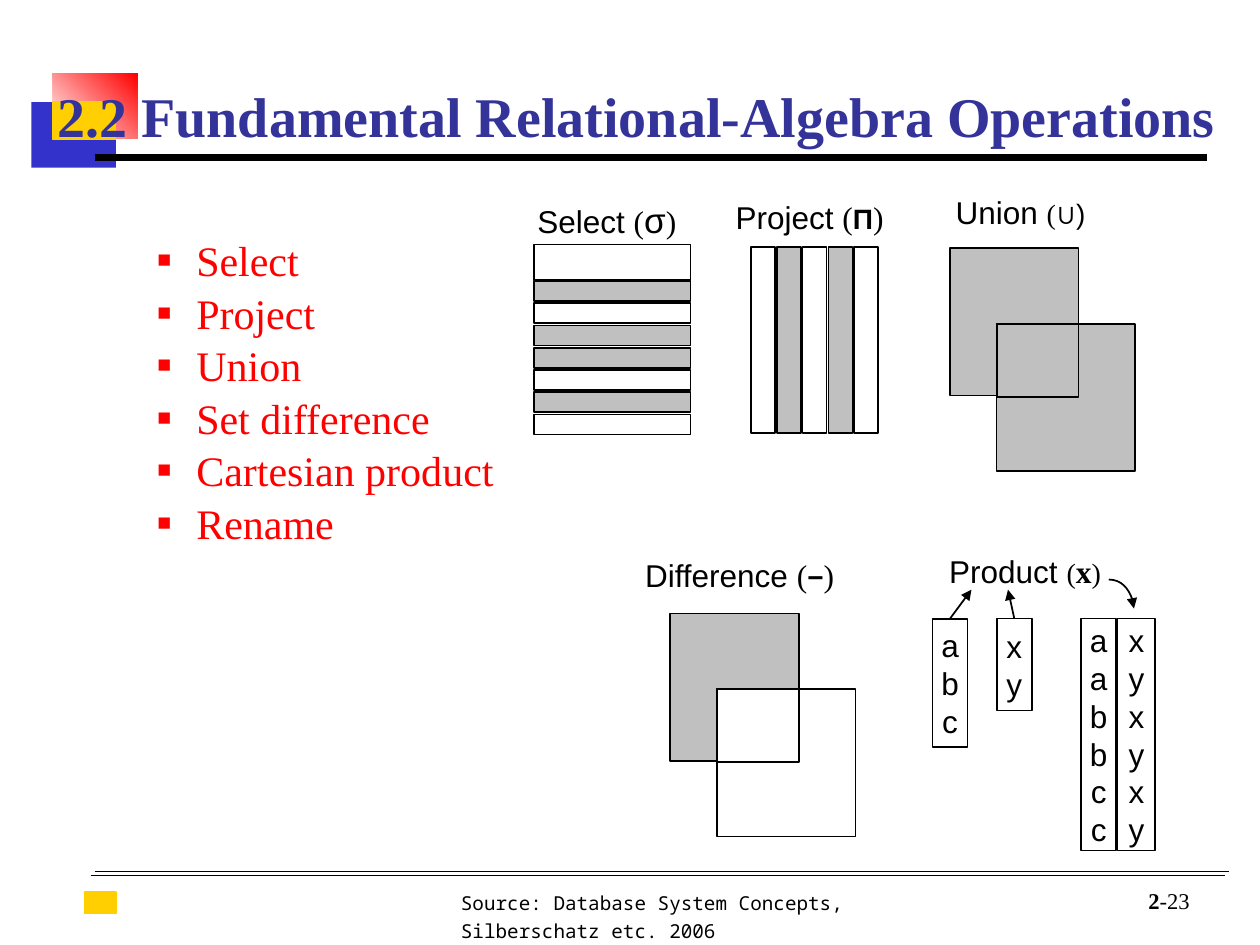
from dataclasses import dataclass

from lxml import etree
from pptx import Presentation
from pptx.dml.color import RGBColor
from pptx.enum.shapes import MSO_CONNECTOR, MSO_SHAPE
from pptx.enum.text import MSO_ANCHOR, PP_ALIGN
from pptx.oxml.ns import qn
from pptx.util import Inches, Pt

RECT = MSO_SHAPE.RECTANGLE
STRAIGHT, CURVE = MSO_CONNECTOR.STRAIGHT, MSO_CONNECTOR.CURVE
LEFT, CENTER, RIGHT = PP_ALIGN.LEFT, PP_ALIGN.CENTER, PP_ALIGN.RIGHT
TOP, MIDDLE, BOTTOM = MSO_ANCHOR.TOP, MSO_ANCHOR.MIDDLE, MSO_ANCHOR.BOTTOM


@dataclass(frozen=True)
class Theme:
    black: str = "000000"
    white: str = "FFFFFF"
    gray: str = "C0C0C0"
    red: str = "FF0000"
    blue: str = "3333CC"
    yellow: str = "FFCF01"
    title_blue: str = "333399"
    serif: str = "Times New Roman"
    sans: str = "Arial"
    mono: str = "Noto Sans Mono"
    title: float = 32
    bullet: float = 24
    label: float = 18
    symbol: float = 16
    page: float = 12.9
    source: float = 11


T = Theme()


def rgb(value):
    return RGBColor.from_string(value)


def add_rect(slide, left, top, width, height, fill, line=None, weight=1):
    rect = slide.shapes.add_shape(
        RECT, Inches(left), Inches(top), Inches(width), Inches(height))
    rect.shadow.inherit = False
    rect.fill.solid()
    rect.fill.fore_color.rgb = rgb(fill)
    if line:
        rect.line.color.rgb = rgb(line)
        rect.line.width = Pt(weight)
    else:
        rect.line.fill.background()
    return rect


def add_line(slide, x1, y1, x2, y2, weight=1, arrow=False, kind=STRAIGHT):
    line = slide.shapes.add_connector(
        kind, Inches(x1), Inches(y1), Inches(x2), Inches(y2))
    line.line.color.rgb = rgb(T.black)
    line.line.width = Pt(weight)
    properties = line.element.spPr
    if arrow:
        etree.SubElement(properties.find(qn("a:ln")), qn("a:tailEnd"), type="triangle")
    etree.SubElement(properties, qn("a:effectLst"))
    return line


def write(shape, paragraphs, align=LEFT, anchor=TOP, wrap=False, color=T.black):
    """Fill a shape with paragraphs, each a list of (text, size, font, bold) runs."""
    frame = shape.text_frame
    frame.word_wrap = wrap
    frame.vertical_anchor = anchor
    frame.text = "\n".join("" for _ in paragraphs)
    for paragraph, runs in zip(frame.paragraphs, paragraphs):
        paragraph.alignment = align
        for text, size, font, bold in runs:
            run = paragraph.add_run()
            run.text = text
            run.font.size = Pt(size)
            run.font.name = font
            run.font.bold = bold
            run.font.color.rgb = rgb(color)
    return frame


def add_text(slide, left, top, width, height, paragraphs, **style):
    box = slide.shapes.add_textbox(
        Inches(left), Inches(top), Inches(width), Inches(height))
    return write(box, paragraphs, **style)


def add_label(slide, left, top, width, height, name, *symbols):
    label = add_rect(slide, left, top, width, height, T.white)
    write(label, [[(name, T.label, T.sans, False), *symbols]], CENTER, MIDDLE)


def add_ornaments(slide):
    add_rect(slide, 0.25, 0.81, 0.67, 0.52, T.blue)
    glow = add_rect(slide, 0.42, 0.58, 0.67, 0.52, T.red)
    glow.fill.gradient()
    glow.fill.gradient_angle = 45
    for stop, position, color in zip(glow.fill.gradient_stops, (0, 1), (T.white, T.red)):
        stop.position = position
        stop.color.rgb = rgb(color)
    add_rect(slide, 0.42, 0.81, 0.5, 0.3, T.yellow, T.yellow, 0.75)
    add_line(slide, 0.75, 1.25, 9.58, 1.25, 4.5)


def add_footer(slide):
    add_rect(slide, 0.67, 7.08, 0.25, 0.17, T.yellow, T.yellow, 0.75)
    add_line(slide, 0.75, 6.92, 9.75, 6.92, 0.5)
    add_line(slide, 0.72, 6.95, 9.72, 6.95, 0.5)
    source = "Source: Database System Concepts, Silberschatz etc. 2006"
    frame = add_text(slide, 3.56, 6.99, 4.35, 0.54,
                     [[(source, T.source, T.mono, False)]], wrap=True)
    frame.paragraphs[0].line_spacing = 1.2
    add_text(slide, 8.71, 6.97, 0.83, 0.33,
             [[("2", T.page, T.serif, True), ("-23", T.page, T.serif, False)]],
             align=RIGHT, anchor=BOTTOM, wrap=True)


def add_operations(slide, left, top, width, height):
    names = ["Select", "Project", "Union", "Set difference", "Cartesian product", "Rename"]
    frame = add_text(slide, left, top, width, height,
                     [[(name, T.bullet, T.serif, False)] for name in names],
                     wrap=True, color=T.red)
    for index, paragraph in enumerate(frame.paragraphs):
        paragraph.line_spacing = 0.8
        paragraph.space_before = Pt(7 if index else 0)
        properties = paragraph._p.get_or_add_pPr()
        properties.set("marL", str(Inches(0.81)))
        properties.set("indent", str(Inches(-0.31)))
        color = etree.SubElement(properties, qn("a:buClr"))
        etree.SubElement(color, qn("a:srgbClr"), val=T.red)
        etree.SubElement(properties, qn("a:buSzPct"), val="55000")
        etree.SubElement(properties, qn("a:buFont"), typeface=T.sans)
        etree.SubElement(properties, qn("a:buChar"), char="■")


def add_select(slide, left, top, width):
    add_label(slide, left + 0.17, top - 0.36, 0.91, 0.23, "Select ",
              ("(", T.label, T.serif, False), ("σ", 20, T.sans, False),
              (")", T.label, T.serif, False), (" ", 28, T.serif, True))
    add_rect(slide, left, top, width, 0.28, T.white, T.black)
    fills = [T.gray, T.white, T.gray, T.gray, T.white, T.gray, T.white]
    pitch = 1.06 / (len(fills) - 1)
    for row, fill in enumerate(fills):
        add_rect(slide, left, top + 0.29 + row * pitch, width, 0.16, fill, T.black)


def add_project(slide, left, top, height):
    for column in range(5):
        fill = T.gray if column % 2 else T.white
        add_rect(slide, left + column * 0.82 / 4, top, 0.19, height, fill, T.black)
    add_label(slide, left - 0.08, top - 0.35, 1.09, 0.23, "Project ",
              ("(", T.label, T.serif, False), ("Π", T.symbol, T.sans, True),
              (")", T.label, T.serif, False))


def add_overlap(slide, left, top, second_fill):
    """Two overlapping squares; the second and the overlap share a fill."""
    add_rect(slide, left, top, 1.02, 1.17, T.gray, T.black)
    add_rect(slide, left + 0.37, top + 0.6, 1.1, 1.17, second_fill, T.black)
    add_rect(slide, left + 0.37, top + 0.6, 0.65, 0.58, second_fill, T.black)


def add_column(slide, left, top, width, height, letters):
    column = add_rect(slide, left, top, width, height, T.white, T.black)
    write(column, [[(letter, T.label, T.sans, False)] for letter in letters],
          CENTER, MIDDLE)
    return column


def add_product(slide, left, top):
    add_label(slide, left + 0.14, top - 0.53, 1.19, 0.3, "Product ",
              ("(", T.symbol, T.serif, False), ("x", T.label, T.serif, True),
              (")", T.symbol, T.serif, False))
    first = add_column(slide, left, top, 0.28, 1.02, "abc")
    second = add_column(slide, left + 0.51, top, 0.28, 0.73, "xy")
    add_column(slide, left + 1.18, top, 0.28, 1.84, "aabbcc")
    add_column(slide, left + 1.47, top, 0.3, 1.84, "xyxyxy")
    for column, start, end in ((first, 0.14, 0.31), (second, 0.65, 0.6)):
        arrow = add_line(slide, left + start, top, left + end, top - 0.23, arrow=True)
        arrow.begin_connect(column, 0)
    result = add_line(slide, left + 1.4, top - 0.31, left + 1.6, top - 0.08,
                      arrow=True, kind=CURVE)
    result.element.spPr.find(qn("a:prstGeom")).set("prst", "curvedConnector2")


def main():
    deck = Presentation()
    deck.slide_width, deck.slide_height = Inches(10), Inches(7.5)
    slide = deck.slides.add_slide(deck.slide_layouts[6])
    add_ornaments(slide)
    add_footer(slide)
    add_text(slide, 0.33, 0.48, 9.45, 0.75,
             [[("2.2 Fundamental Relational-Algebra Operations", T.title, T.serif, True)]],
             align=CENTER, anchor=BOTTOM, color=T.title_blue)
    add_operations(slide, 0.65, 1.89, 3.53, 2.48)
    add_select(slide, 4.24, 1.94, 1.24)
    add_project(slide, 5.96, 1.96, 1.48)
    add_overlap(slide, 7.54, 1.97, T.gray)
    add_label(slide, 7.51, 1.53, 1.18, 0.3, "Union ",
              ("(", T.symbol, T.serif, False), ("∪", T.symbol, T.sans, True),
              (")", T.symbol, T.sans, False))
    add_overlap(slide, 5.32, 4.87, T.white)
    add_label(slide, 5.28, 4.41, 1.18, 0.3, "Difference ",
              ("(", T.label, T.serif, False), ("−", T.symbol, T.sans, True),
              (")", T.label, T.serif, False))
    add_product(slide, 7.4, 4.91)
    deck.save("out.pptx")


if __name__ == "__main__":
    main()
